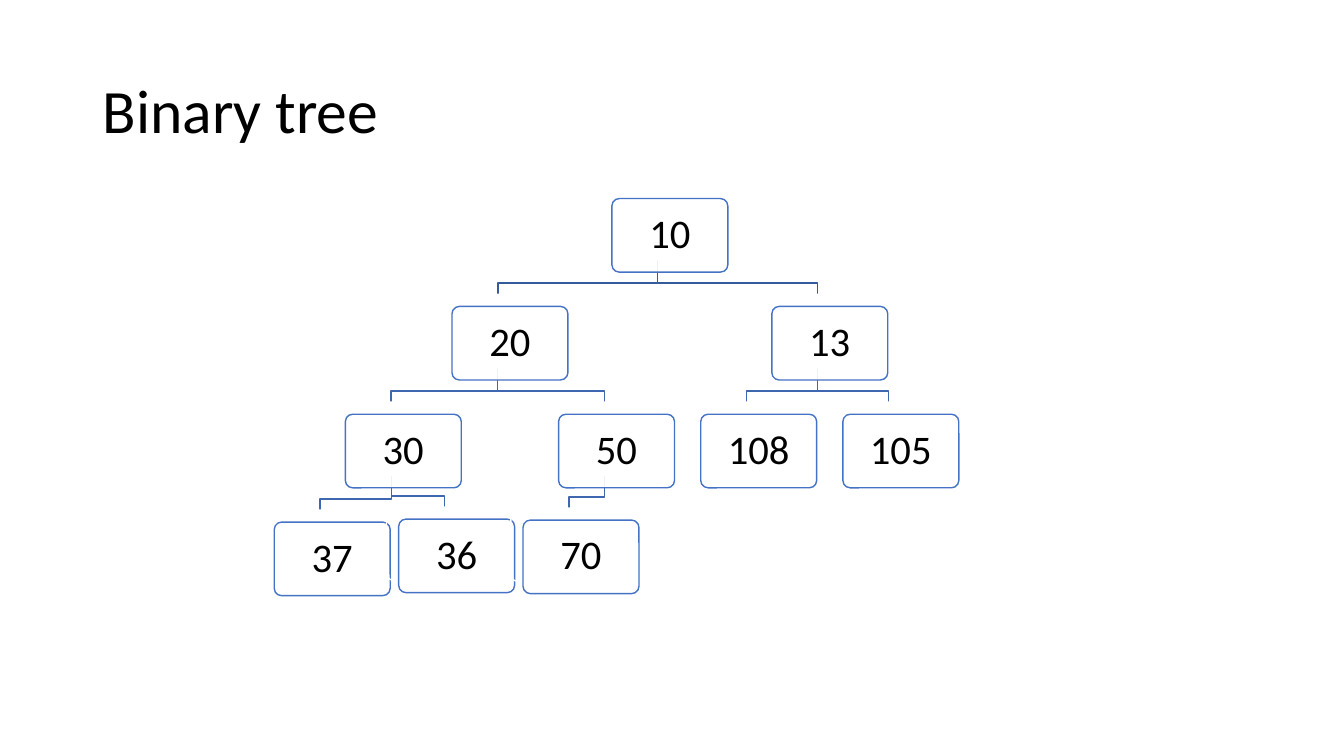
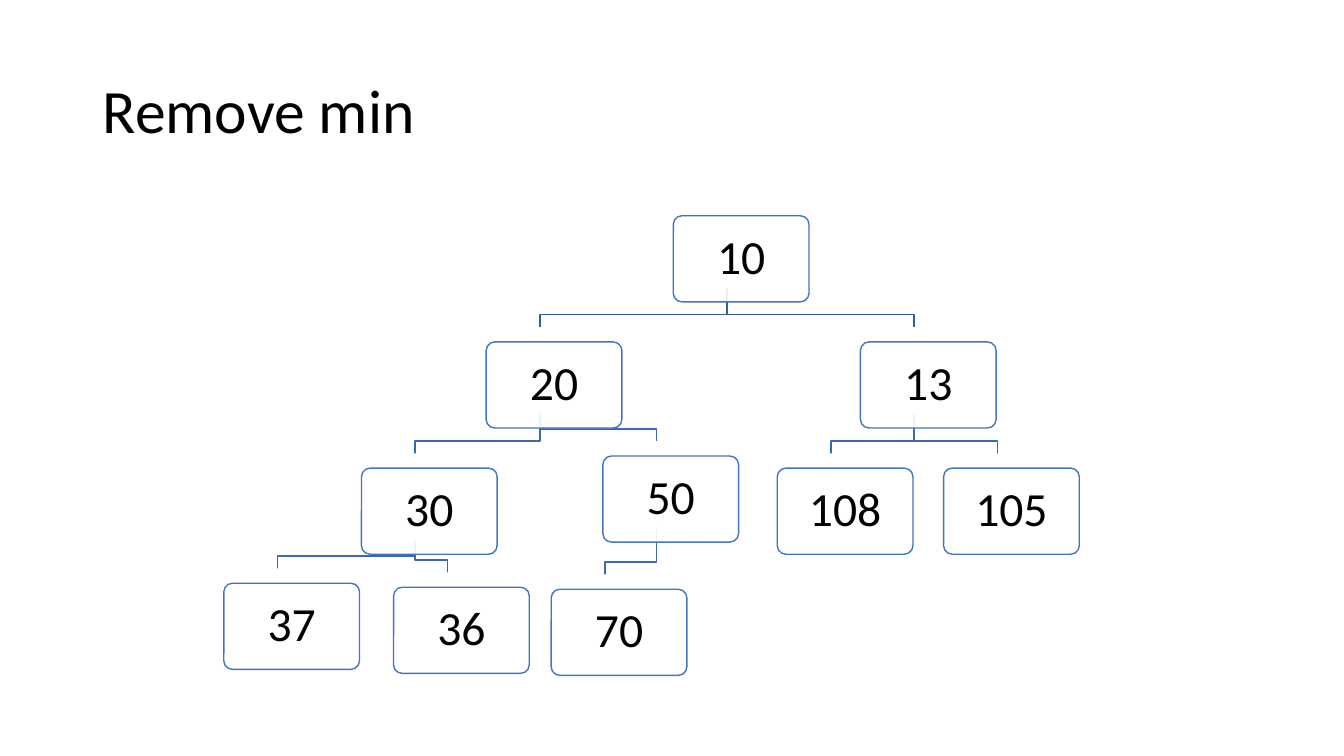
from dataclasses import dataclass, field

from lxml.etree import SubElement
from pptx import Presentation
from pptx.dml.color import RGBColor
from pptx.enum.shapes import MSO_SHAPE as Preset
from pptx.enum.text import MSO_ANCHOR as Anchor, PP_ALIGN as Align
from pptx.oxml.ns import qn
from pptx.util import Inches, Pt

WIDTH, HEIGHT = 13.33, 7.5
BLANK_LAYOUT = 6
FONT = "Calibri"
BLACK = RGBColor(0x00, 0x00, 0x00)
WHITE = RGBColor(0xFF, 0xFF, 0xFF)
OUTLINE = RGBColor(0x44, 0x72, 0xC4)
ROOT_BRANCH = RGBColor(0x36, 0x5B, 0x9D)
LOWER_BRANCH = RGBColor(0x3E, 0x67, 0xB2)

COLUMN = 1.41 / 4
ROW = 1.07
NODE_WIDTH, NODE_HEIGHT = 1.15, 0.73
CARD_OFFSET = 0.12
CARD_INSET = 0.14
ELBOW = 0.11
LABEL_SIZE = 29


@dataclass
class Node:
    label: str
    column: float
    children: tuple = ()


@dataclass
class TreeLayout:
    left: float
    top: float
    scale: float = 1
    nudges: dict = field(default_factory=dict)

    def position(self, node, depth):
        shift_x, shift_y = self.nudges.get(node.label, (0, 0))
        return (
            self.left + node.column * COLUMN * self.scale + shift_x,
            self.top + depth * ROW * self.scale + shift_y,
        )


HEAP = Node("10", 9.5, (
    Node("20", 5, (
        Node("30", 2, (Node("37", 0), Node("36", 3.5))),
        Node("50", 8, (Node("70", 7),)),
    )),
    Node("13", 14, (Node("108", 12), Node("105", 16))),
))

SLIDES = (
    ("Binary tree", TreeLayout(2.6, 1.85, nudges={
        "36": (0, -0.03), "70": (0, -0.02),
    })),
    ("Remove min", TreeLayout(2.62, 2, scale=1.17, nudges={
        "37": (-0.54, -0.11), "36": (-0.3, -0.07),
        "50": (-0.08, -0.12), "70": (-0.18, -0.05),
    })),
)


def write_text(shape, text, size, align=Align.LEFT, inset=None):
    frame = shape.text_frame
    frame.word_wrap = True
    frame.vertical_anchor = Anchor.MIDDLE
    if inset is not None:
        frame.margin_left = frame.margin_right = Inches(inset)
        frame.margin_top = frame.margin_bottom = Inches(inset)
    paragraph = frame.paragraphs[0]
    paragraph.alignment = align
    paragraph.line_spacing = 0.9
    run = paragraph.add_run()
    run.text = text
    run.font.name = FONT
    run.font.size = Pt(size)
    run.font.color.rgb = BLACK


def add_title(slide, text):
    box = slide.shapes.add_textbox(
        Inches(WIDTH * 0.069), Inches(HEIGHT * 0.053),
        Inches(WIDTH * 0.863), Inches(HEIGHT * 0.193),
    )
    write_text(box, text, 44)


def style_outline(shape, color):
    shape.shadow.inherit = False
    shape.line.color.rgb = color
    shape.line.width = Pt(1)


def add_rounded(slide, left, top, scale, outline):
    shape = slide.shapes.add_shape(
        Preset.ROUNDED_RECTANGLE, Inches(left), Inches(top),
        Inches(NODE_WIDTH * scale), Inches(NODE_HEIGHT * scale),
    )
    shape.adjustments[0] = 0.1
    shape.fill.background()
    style_outline(shape, outline)
    return shape


def fill_translucent(shape, color, opacity):
    shape.fill.solid()
    shape.fill.fore_color.rgb = color
    color_element = next(shape.fill._xPr.iter(qn("a:srgbClr")))
    SubElement(color_element, qn("a:alpha"), val=str(opacity * 1000))


def add_node(slide, label, left, top, scale):
    add_rounded(slide, left, top, scale, WHITE)
    offset = CARD_OFFSET * scale
    card = add_rounded(slide, left + offset, top + offset, scale, OUTLINE)
    fill_translucent(card, WHITE, 90)
    write_text(card, label, round(LABEL_SIZE * scale),
               align=Align.CENTER, inset=CARD_INSET * scale)


def add_branch(slide, parent, child, scale, color):
    half_width = NODE_WIDTH * scale / 2
    start_x, end_x = parent[0] + half_width, child[0] + half_width
    start_y, end_y = parent[1] + NODE_HEIGHT * scale, child[1]
    turn_y = end_y - ELBOW * scale
    builder = slide.shapes.build_freeform(Inches(start_x), Inches(start_y))
    corners = ((start_x, turn_y), (end_x, turn_y), (end_x, end_y))
    builder.add_line_segments(
        [(Inches(x), Inches(y)) for x, y in corners], close=False)
    branch = builder.convert_to_shape()
    branch.fill.background()
    style_outline(branch, color)


def draw_branches(slide, node, layout, depth=0):
    color = LOWER_BRANCH if depth else ROOT_BRANCH
    for child in node.children:
        draw_branches(slide, child, layout, depth + 1)
        add_branch(slide, layout.position(node, depth),
                   layout.position(child, depth + 1), layout.scale, color)


def draw_nodes(slide, node, layout, depth=0):
    add_node(slide, node.label, *layout.position(node, depth), layout.scale)
    for child in node.children:
        draw_nodes(slide, child, layout, depth + 1)


def main():
    presentation = Presentation()
    presentation.slide_width = Inches(WIDTH)
    presentation.slide_height = Inches(HEIGHT)
    for title, layout in SLIDES:
        slide = presentation.slides.add_slide(
            presentation.slide_layouts[BLANK_LAYOUT])
        add_title(slide, title)
        draw_branches(slide, HEAP, layout)
        draw_nodes(slide, HEAP, layout)
    presentation.save("out.pptx")


if __name__ == "__main__":
    main()
